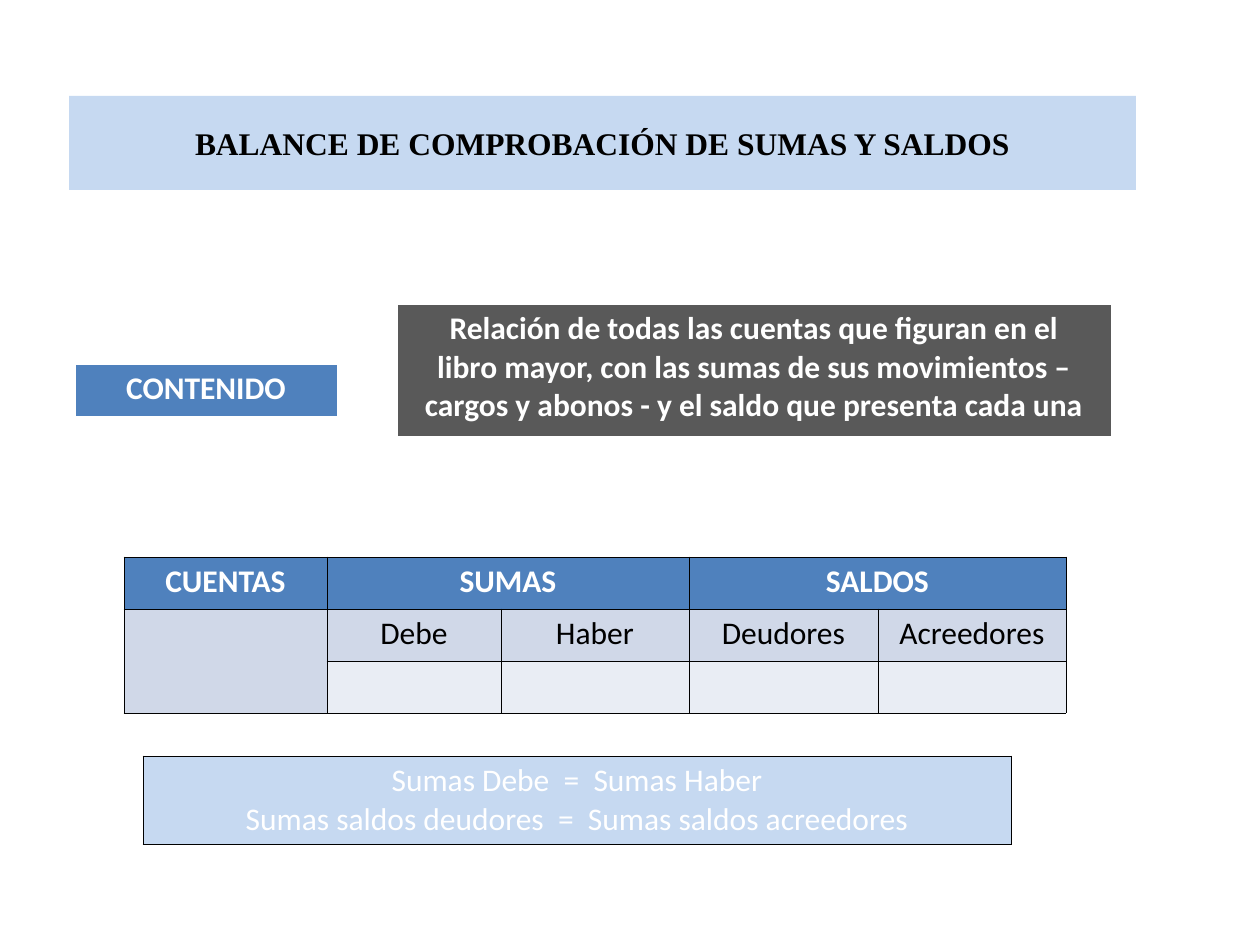
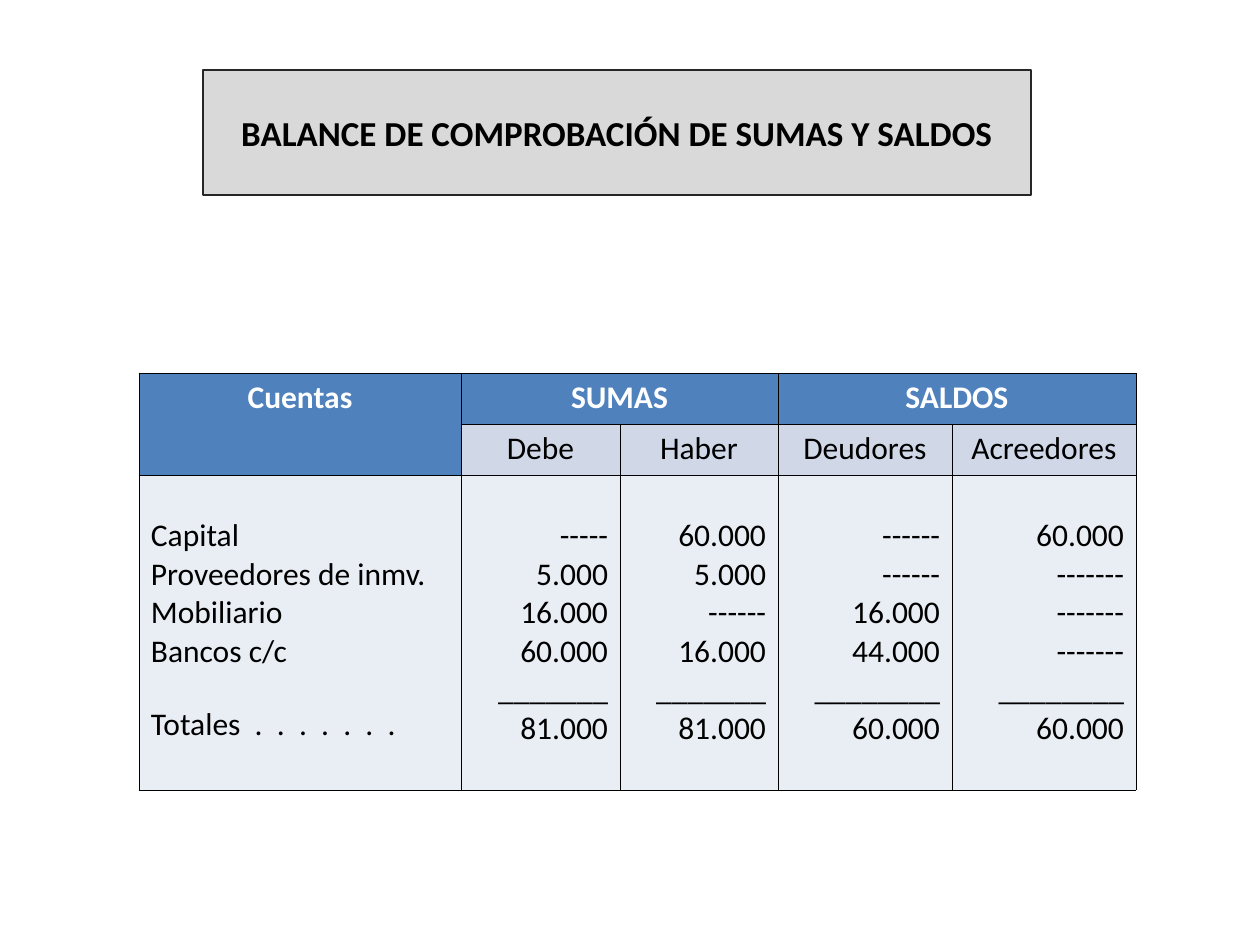
from lxml.etree import SubElement as Sub
from pptx import Presentation
from pptx.dml.color import RGBColor as RGB
from pptx.enum.shapes import MSO_SHAPE as Shape
from pptx.enum.text import MSO_ANCHOR as Anchor, PP_ALIGN as Align
from pptx.oxml.ns import qn
from pptx.util import Pt

PX = 914400 / 126
TITLE = "BALANCE DE COMPROBACIÓN DE SUMAS Y SALDOS"
HEX = {
    "white": "FFFFFF", "black": "000000", "blue": "4F81BD", "sky": "C6D9F1",
    "mist": "D0D8E8", "pale": "E9EDF4", "dark": "595959", "grey": "D9D9D9",
    "coal": "262626",
}
GROUPS = {"SUMAS": ("Debe", "Haber"), "SALDOS": ("Deudores", "Acreedores")}
NAMES = ("Capital", "Proveedores de inmv.", "Mobiliario", "Bancos c/c",
         "Totales  .  .  .  .  .  .  .")
SUMS = (
    ("-----", "5.000", "16.000", "60.000", "_______", "81.000"),
    ("60.000", "5.000", "------", "16.000", "_______", "81.000"),
    ("------", "------", "16.000", "44.000", "________", "60.000"),
    ("60.000", "-------", "-------", "-------", "________", "60.000"),
)


def emu(px):
    return round(px * PX)


def tint(name):
    return RGB.from_string(HEX[name])


def style(frame, ink, size=18, bold=False, face="Calibri", align=Align.CENTER):
    for para in frame.paragraphs:
        para.alignment = align
        for run in para.runs:
            font = run.font
            font.name, font.size, font.bold = face, Pt(size), bold
            font.color.rgb = tint(ink)


def title(slide, box, fill, size, face, line=None):
    band = slide.shapes.add_shape(Shape.RECTANGLE, *map(emu, box))
    band.shadow.inherit = False
    band.fill.solid()
    band.fill.fore_color.rgb = tint(fill)
    if line:
        band.line.color.rgb = tint(line)
        band.line.width = Pt(0.75)
    else:
        band.line.fill.background()
    frame = band.text_frame
    frame.word_wrap = True
    frame.vertical_anchor = Anchor.MIDDLE
    frame.text = TITLE
    style(frame, "black", size, True, face)


def border(cell, edge, foot):
    props = cell._tc.get_or_add_tcPr()
    for side in "LRTB":
        width = Pt(foot if side == "B" else 0.45)
        line = Sub(props, qn(f"a:ln{side}"), w=str(width))
        paint = Sub(line, qn("a:solidFill"))
        Sub(paint, qn("a:srgbClr"), val=HEX[edge])


def grid(slide, spot, cols, rows, edge="black", foot=0.45):
    size = sum(cols), sum(rows)
    frame = slide.shapes.add_table(len(rows), len(cols), *map(emu, spot + size))
    table = frame.table
    table.first_row = table.horz_banding = False
    for part, width in zip(table.columns, cols):
        part.width = emu(width)
    for part, height in zip(table.rows, rows):
        part.height = emu(height)
    for cell in table.iter_cells():
        border(cell, edge, foot)
        cell.margin_left = cell.margin_right = emu(12)
        cell.margin_top = cell.margin_bottom = emu(6)
    return table


def shade(cell, fill):
    cell.fill.solid()
    cell.fill.fore_color.rgb = tint(fill)


def write(cell, text, fill, ink="white", bold=False, align=Align.CENTER):
    shade(cell, fill)
    cell.text_frame.text = text
    style(cell.text_frame, ink, bold=bold, align=align)


def panel(slide, box, text, fill, bold=True, edge="white", foot=1.47):
    left, top, width, height = box
    table = grid(slide, (left, top), (width,), (height,), edge, foot)
    write(table.cell(0, 0), text, fill, bold=bold)


def ledger(slide, spot, cols, rows, label, start):
    table = grid(slide, spot, cols, rows)
    for cell in table.iter_cells():
        shade(cell, "pale")
    table.cell(start, 0).merge(table.cell(start + 1, 0))
    shade(table.cell(1, 0), "mist")
    write(table.cell(0, 0), label, "blue", bold=True)
    for pair, (group, parts) in enumerate(GROUPS.items()):
        col = 1 + 2 * pair
        table.cell(0, col).merge(table.cell(0, col + 1))
        write(table.cell(0, col), group, "blue", bold=True)
        for step, part in enumerate(parts):
            write(table.cell(1, col + step), part, "mist", "black")
    return table


def fill_in(table):
    for col, items in enumerate((NAMES,) + SUMS):
        cell = table.cell(2, col)
        align = Align.RIGHT if col else Align.LEFT
        write(cell, "\n".join(items), "pale", "black", align=align)
        cell.margin_top = emu(42)
    table.cell(2, 0).text_frame.paragraphs[-1].space_before = Pt(20)


def content(slide):
    title(slide, (69, 96, 1067, 94), "sky", 18, "Times New Roman")
    panel(slide, (75, 364, 262, 53), "CONTENIDO", "blue")
    panel(slide, (397, 304, 714, 133),
          "Relación de todas las cuentas que figuran en el\n"
          "libro mayor, con las sumas de sus movimientos – "
          "cargos y abonos - y el saldo que presenta cada una", "dark")
    ledger(slide, (124, 557), (203, 174, 188, 189, 188), (52,) * 3, "CUENTAS", 1)
    panel(slide, (143, 756, 868, 88),
          "Sumas Debe  =  Sumas Haber\n"
          "Sumas saldos deudores  =  Sumas saldos acreedores",
          "sky", False, "black", 0.45)


def sample(slide):
    title(slide, (203, 70, 828, 125), "grey", 20, "Calibri", "coal")
    table = ledger(slide, (139, 373), (322, 159, 158, 174, 184),
                   (51, 51, 315), "Cuentas", 0)
    fill_in(table)


def main():
    deck = Presentation()
    deck.slide_width, deck.slide_height = emu(1260), emu(945)
    for build in (content, sample):
        build(deck.slides.add_slide(deck.slide_layouts[6]))
    deck.save("out.pptx")


if __name__ == "__main__":
    main()
